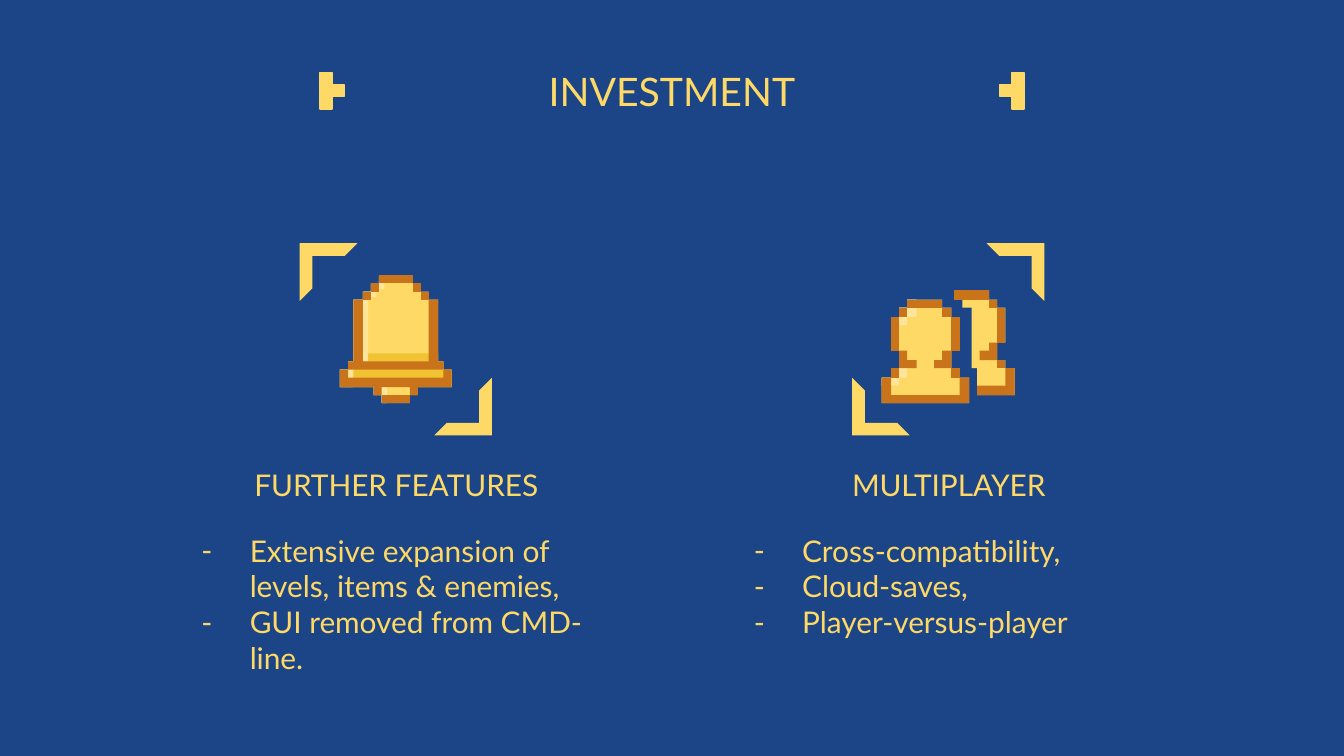
from dataclasses import dataclass

from lxml import etree
from pptx import Presentation
from pptx import util as u
from pptx.dml.color import RGBColor
from pptx.enum import shapes, text
from pptx.oxml.ns import qn

PX = u.Inches(1) // 100  # EMU in one px, 100 px to the inch
WIDTH = 1000


@dataclass(frozen=True)
class Theme:
    background: str = "1C4587"
    gold: str = "FFD966"
    shade: str = "F1C232"
    light: str = "FFE599"
    brown: str = "C9741B"
    font: str = "Lato"
    title_size: int = 21
    body_size: int = 16


def write_text(frame, lines, *, theme, size, align=text.PP_ALIGN.LEFT, bullet=None):
    """Fill a text frame with one paragraph per line."""
    for index, line in enumerate(lines):
        paragraph = frame.paragraphs[0] if index == 0 else frame.add_paragraph()
        paragraph.alignment = align
        run = paragraph.add_run()
        run.text = line
        run.font.name = theme.font
        run.font.size = u.Pt(size)
        run.font.color.rgb = RGBColor.from_string(theme.gold)
        if bullet:
            properties = paragraph._p.get_or_add_pPr()
            properties.set("marL", str(50 * PX))
            properties.set("indent", str(-36 * PX))
            color = etree.SubElement(properties, qn("a:buClr"))
            etree.SubElement(color, qn("a:srgbClr"), val=theme.gold)
            etree.SubElement(properties, qn("a:buFont"), typeface=theme.font)
            etree.SubElement(properties, qn("a:buChar"), char=bullet)


class SlideBuilder:
    def __init__(self, slide, theme):
        self.slide = slide
        self.theme = theme
        fill = slide.background.fill
        fill.solid()
        fill.fore_color.rgb = RGBColor.from_string(theme.background)

    def paint(self, shape, color, outline=None):
        shape.shadow.inherit = False
        shape.fill.solid()
        shape.fill.fore_color.rgb = RGBColor.from_string(color)
        if outline:
            shape.line.color.rgb = RGBColor.from_string(color)
            shape.line.width = u.Pt(outline)
        else:
            shape.line.fill.background()

    def text_box(self, box, lines, anchor=text.MSO_ANCHOR.BOTTOM, **style):
        shape = self.slide.shapes.add_textbox(*(value * PX for value in box))
        frame = shape.text_frame
        frame.word_wrap = True
        frame.vertical_anchor = anchor
        frame.margin_left = frame.margin_right = 10 * PX
        frame.margin_top = frame.margin_bottom = 10 * PX
        write_text(frame, lines, theme=self.theme, **style)

    def steps(self, color, *corners, outline=None):
        """Stepped outline: from each corner go across, then up or down to the next."""
        points = []
        for (x, y), (next_x, _) in zip(corners, corners[1:] + corners[:1]):
            points += [(x, y), (next_x, y)]
        builder = self.slide.shapes.build_freeform(*points[0], scale=PX)
        builder.add_line_segments(points[1:], close=True)
        self.paint(builder.convert_to_shape(), color, outline)

    def blocks(self, color, *rectangles, outline=None):
        for left, top, right, bottom in rectangles:
            self.steps(color, (left, top), (right, bottom), outline=outline)

    def bracket(self, left, top, rotation):
        shape = self.slide.shapes.add_shape(
            shapes.MSO_SHAPE.HALF_FRAME, left * PX, top * PX, 43 * PX, 43 * PX)
        shape.adjustments[0] = shape.adjustments[1] = 0.22
        shape.rotation = rotation
        self.paint(shape, self.theme.gold)


def draw_title_marks(builder):
    side = 9
    cells = [(0, 0), (0, 1), (0, 2), (1, 1)]
    for left, direction in ((238, 1), (753, -1)):
        for column, row in cells:
            x, y = left + direction * column * side, 54 + row * side
            builder.blocks(builder.theme.gold, (x, y, x + side, y + side), outline=0.75)


def draw_bell(builder):
    theme = builder.theme
    # Body and rim
    builder.steps(theme.gold, (282, 205), (307, 211), (313, 217), (319, 223), (326, 269),
                  (330, 275), (336, 288), (311, 294), (305, 300), (284, 294), (278, 288),
                  (253, 275), (259, 269), (263, 223), (270, 217), (276, 211))
    builder.steps(theme.shade, (263, 263), (326, 269), (330, 275), (336, 288),
                  (253, 275), (259, 269))
    # Highlights
    builder.steps(theme.light, (282, 209), (286, 215), (282, 217), (280, 221), (276, 223),
                  (274, 269), (263, 223), (270, 217), (276, 211))
    builder.steps(theme.light, (259, 269), (263, 288), (253, 275))
    builder.steps(theme.light, (278, 285), (288, 300), (284, 294))
    # Dark edges
    builder.blocks(theme.brown, (270, 217, 276, 223), (276, 211, 282, 217),
                   (284, 294, 305, 300), (282, 205, 307, 211),
                   (313, 217, 319, 223), (307, 211, 313, 217))
    builder.steps(theme.brown, (263, 223), (270, 269), (319, 223), (326, 269),
                  (330, 275), (259, 269))
    builder.steps(theme.brown, (253, 275), (259, 281), (330, 275), (336, 288),
                  (311, 294), (305, 288), (284, 294), (278, 288))


def draw_players(builder):
    theme = builder.theme
    # Front player
    builder.steps(theme.gold, (675, 223), (701, 229), (708, 236), (714, 261), (708, 274),
                  (714, 281), (721, 300), (656, 281), (663, 274), (669, 261),
                  (663, 236), (669, 229))
    builder.steps(theme.light, (675, 223), (682, 236), (675, 242), (663, 236), (669, 229))
    builder.steps(theme.light, (669, 268), (675, 281), (669, 287), (656, 281), (663, 274))
    builder.blocks(theme.brown, (663, 236, 669, 261), (708, 236, 714, 261),
                   (675, 223, 701, 229), (669, 229, 675, 236), (701, 229, 708, 236),
                   (663, 274, 669, 281), (708, 274, 714, 281))
    builder.steps(theme.brown, (701, 261), (708, 274), (695, 268))
    builder.steps(theme.brown, (669, 261), (675, 268), (682, 274))
    builder.steps(theme.brown, (656, 281), (663, 294), (714, 281), (721, 300))
    # Back player
    builder.steps(theme.gold, (710, 216), (736, 223), (742, 229), (748, 255), (742, 268),
                  (748, 274), (755, 294), (727, 274), (723, 229), (716, 223))
    builder.blocks(theme.brown, (742, 229, 748, 255), (710, 216, 736, 223),
                   (736, 223, 742, 229), (742, 268, 748, 274))
    builder.steps(theme.brown, (736, 255), (742, 268), (729, 261))
    builder.steps(theme.brown, (748, 274), (755, 294), (727, 287))


def main():
    presentation = Presentation()
    presentation.slide_width = WIDTH * PX
    presentation.slide_height = WIDTH * PX * 9 // 16
    theme = Theme()
    slide = presentation.slides.add_slide(presentation.slide_layouts[6])
    builder = SlideBuilder(slide, theme)

    # Title
    center = text.PP_ALIGN.CENTER
    builder.text_box((34, 32, 932, 63), ["INVESTMENT"], size=theme.title_size, align=center)
    draw_title_marks(builder)

    # Two columns
    columns = [
        (126, "FURTHER FEATURES", ["Extensive expansion of levels, items & enemies,",
                                   "GUI removed from CMD-line."]),
        (537, "MULTIPLAYER", ["Cross-compatibility,", "Cloud-saves,",
                              "Player-versus-player"]),
    ]
    for left, heading, items in columns:
        builder.text_box((left, 341, 338, 43), [heading], size=theme.body_size, align=center)
        builder.text_box((left, 386, 338, 121), items, anchor=text.MSO_ANCHOR.TOP,
                         size=theme.body_size, bullet="-")

    # Icons and their corner brackets
    draw_bell(builder)
    draw_players(builder)
    for left, top, rotation in ((223, 181, 0), (323, 281, 180),
                                (734, 181, 90), (634, 281, 270)):
        builder.bracket(left, top, rotation)

    presentation.save("out.pptx")


if __name__ == "__main__":
    main()
